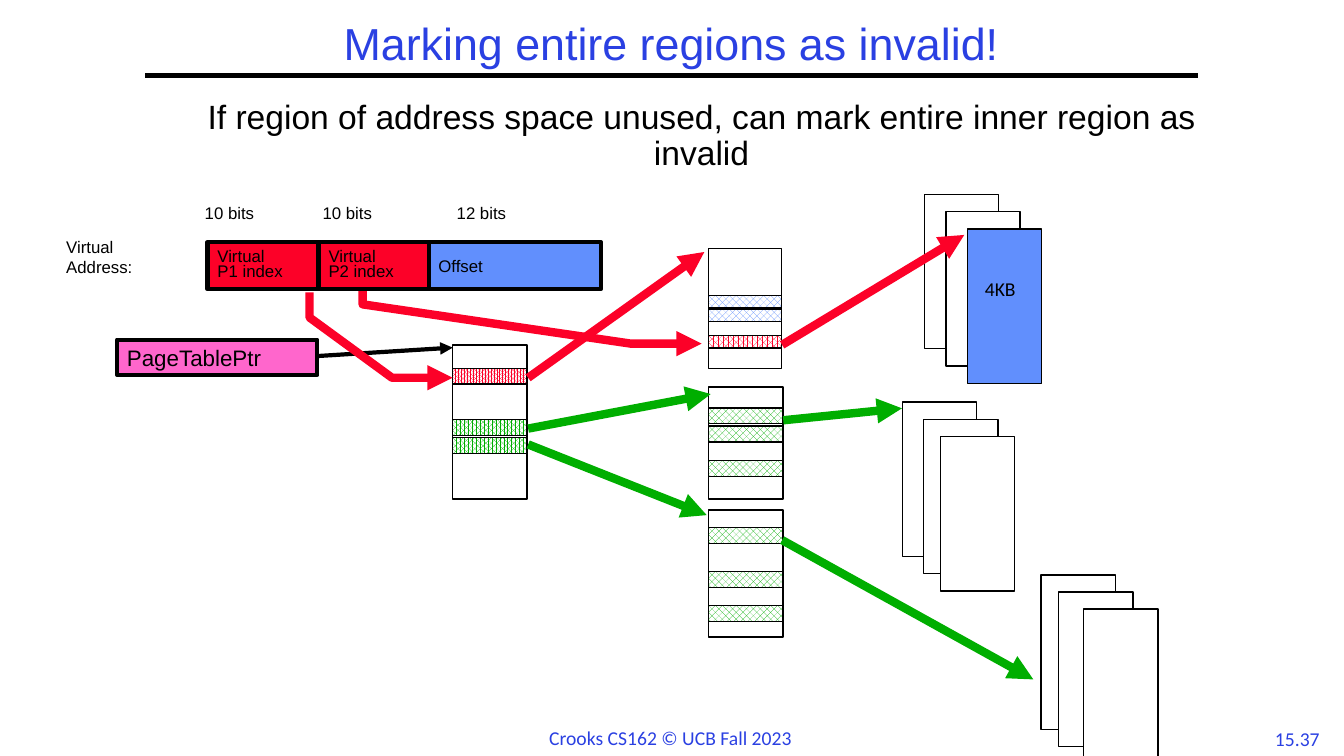
import dataclasses

import lxml.etree
import pptx
import pptx.dml.color
import pptx.enum.dml
import pptx.enum.shapes
import pptx.enum.text
import pptx.oxml.ns
import pptx.util

Cm = pptx.util.Cm
Pt = pptx.util.Pt
Align = pptx.enum.text.PP_ALIGN
Hatch = pptx.enum.dml.MSO_PATTERN
qn = pptx.oxml.ns.qn
rgb = pptx.dml.color.RGBColor.from_string


@dataclasses.dataclass(frozen=True)
class Theme:
    accent = rgb("2A40E2")
    black = rgb("000000")
    white = rgb("FFFFFF")
    blue = rgb("618FFD")
    red = rgb("FC0128")
    green = rgb("00AE00")
    pink = rgb("FF66CC")
    sans = "Arial"
    note = "Calibri"
    title = 32
    body = 24
    pointer = 16
    foot = 14
    label = 12
    thin = 1
    bold = 3
    thick = 6


theme = Theme()
deck = pptx.Presentation()
deck.slide_width, deck.slide_height = Cm(33.87), Cm(19.05)
slide = deck.slides.add_slide(deck.slide_layouts[6])
shapes = slide.shapes


def box(x, y, w, h, fill=None, weight=theme.thin, hatch=None):
    """Draw a black-edged rectangle: hollow, solid or hatched."""
    rect = shapes.add_shape(pptx.enum.shapes.MSO_SHAPE.RECTANGLE,
                            Cm(x), Cm(y), Cm(w), Cm(h))
    rect.shadow.inherit = False
    rect.line.color.rgb = theme.black
    rect.line.width = Pt(weight)
    if hatch:
        rect.fill.patterned()
        rect.fill.pattern = hatch
        rect.fill.fore_color.rgb = fill
        rect.fill.back_color.rgb = theme.white
    elif fill:
        rect.fill.solid()
        rect.fill.fore_color.rgb = fill
    else:
        rect.fill.background()
    return rect


def write(shape, lines, size, font=theme.sans, color=theme.black,
          align=Align.LEFT, space=1.0, pad=(0.25, 0.13), wrap=True, middle=True):
    frame = shape.text_frame
    frame.word_wrap = wrap
    if not wrap:
        frame.auto_size = pptx.enum.text.MSO_AUTO_SIZE.SHAPE_TO_FIT_TEXT
    anchor = pptx.enum.text.MSO_ANCHOR
    frame.vertical_anchor = anchor.MIDDLE if middle else anchor.TOP
    frame.margin_left = frame.margin_right = Cm(pad[0])
    frame.margin_top = frame.margin_bottom = Cm(pad[1])
    for i, line in enumerate(lines):
        para = frame.add_paragraph() if i else frame.paragraphs[0]
        para.alignment = align
        para.line_spacing = space
        run = para.add_run()
        run.text = line
        run.font.size = Pt(size)
        run.font.name = font
        run.font.color.rgb = color


# Stacks of memory pages
stacks = [
    [(23.3, 4.9), (23.84, 5.33), (24.38, 5.77)],
    [(22.74, 10.13), (23.28, 10.57), (23.7, 11)],
    [(26.24, 14.49), (26.68, 14.92), (27.31, 15.35)],
]
for stack in stacks:
    for x, y in stack:
        used = (x, y) == stacks[0][-1]
        box(x, y, 1.87, 3.89, theme.blue if used else theme.white)

# Page tables, each with its hatched entries
tables = [
    (11.41, 8.69, 1.87, 3.89, 0.4, [
        (9.28, theme.red, Hatch.PERCENT_80),
        (10.57, theme.green, Hatch.PERCENT_75),
        (11.03, theme.green, Hatch.PERCENT_75)]),
    (17.86, 6.27, 1.83, 3.02, 0.31, [
        (7.45, theme.blue, Hatch.PERCENT_50),
        (7.79, theme.blue, Hatch.PERCENT_50),
        (8.46, theme.red, Hatch.PERCENT_70)]),
    (17.86, 9.75, 1.87, 2.83, 0.4,
     [(y, theme.green, Hatch.PERCENT_50) for y in (10.28, 10.74, 11.61)]),
    (17.86, 12.85, 1.87, 3.2, 0.4,
     [(y, theme.green, Hatch.PERCENT_50) for y in (13.3, 14.4, 15.26)]),
]
for x, y, w, h, depth, rows in tables:
    box(x, y, w, h)
    for top, color, hatch in rows:
        box(x, top, w, depth, color, hatch=hatch)

# Virtual address fields and table pointer
fields = [
    (10.8, 4.34, theme.blue, ["Offset"]),
    (8.03, 2.79, theme.red, ["Virtual", "P2 index"]),
    (5.23, 2.79, theme.red, ["Virtual", "P1 index"]),
]
for x, w, color, lines in fields:
    field = box(x, 6.1, w, 1.19, color, theme.bold)
    write(field, lines, theme.label, space=0.75 if len(lines) > 1 else 1.0)
pointer = box(2.95, 8.56, 5.05, 0.89, theme.pink, theme.bold)
write(pointer, ["PageTablePtr"], theme.pointer)

# Arrows, straight or bent
arrows = [
    (theme.black, theme.bold, [(8.03, 8.97), (11.41, 8.76)]),
    (theme.red, theme.thick, [(13.31, 9.52), (17.75, 6.35)]),
    (theme.green, theme.thick, [(13.31, 10.8), (17.91, 9.93)]),
    (theme.green, theme.thick, [(13.31, 11.2), (17.81, 12.98)]),
    (theme.red, theme.thick, [(7.8, 7.37), (7.8, 8), (9.88, 9.52), (11.41, 9.52)]),
    (theme.red, theme.thick, [(9.14, 7.34), (9.14, 7.67), (15.9, 8.66), (17.68, 8.66)]),
    (theme.red, theme.thick, [(19.71, 8.69), (24.3, 5.92)]),
    (theme.green, theme.thick, [(19.74, 10.59), (22.73, 10.29)]),
    (theme.green, theme.thick, [(19.71, 13.61), (26.04, 17.12)]),
    (theme.black, theme.bold, [(3.66, 1.9), (30.2, 1.9)]),
]
rule = arrows[-1]
for item in arrows:
    color, weight, points = item
    spots = [(Cm(x), Cm(y)) for x, y in points]
    if len(spots) == 2:
        arrow = shapes.add_connector(pptx.enum.shapes.MSO_CONNECTOR.STRAIGHT,
                                     *spots[0], *spots[1])
    else:
        trail = shapes.build_freeform(*spots[0])
        trail.add_line_segments(spots[1:], close=False)
        arrow = trail.convert_to_shape()
        arrow.fill.background()
    arrow.line.color.rgb = color
    arrow.line.width = Pt(weight)
    if item is not rule:
        edge = arrow.line._get_or_add_ln()
        lxml.etree.SubElement(edge, qn("a:tailEnd"), type="triangle")
    lxml.etree.SubElement(arrow._element.spPr, qn("a:effectLst"))

# Text boxes
small = dict(space=0.9, pad=(0.18, 0.08), wrap=False, middle=False)
foot = dict(font=theme.note, color=theme.accent, wrap=False, middle=False)
texts = [
    (3.66, 0.43, 26.52, 1.47, ["Marking entire regions as invalid!"], theme.title,
     dict(color=theme.accent, align=Align.CENTER, space=0.9)),
    (4.42, 2.39, 26.52, 2.44,
     ["If region of address space unused, can mark entire inner region as invalid"],
     theme.body, dict(align=Align.CENTER, space=0.9, middle=False)),
    (4.98, 5.08, 2.13, 0.61, ["10 bits"], theme.label, small),
    (7.95, 5.08, 2.13, 0.61, ["10 bits"], theme.label, small),
    (11.33, 5.08, 2.11, 0.61, ["12 bits"], theme.label, small),
    (1.42, 5.84, 2.54, 1.27, ["Virtual", "Address:"], theme.label,
     dict(wrap=False, middle=False)),
    (24.64, 6.96, 1.3, 0.69, ["4KB"], theme.foot, dict(small, font=theme.note)),
    (13.59, 18.16, 6.68, 0.86, ["Crooks CS162 © UCB Fall 2023"], theme.foot, foot),
    (31.83, 18.19, 1.73, 0.84, ["15.37"], theme.foot, dict(foot, align=Align.CENTER)),
]
for x, y, w, h, lines, size, style in texts:
    label = shapes.add_textbox(Cm(x), Cm(y), Cm(w), Cm(h))
    write(label, lines, size, **style)

deck.save("out.pptx")
